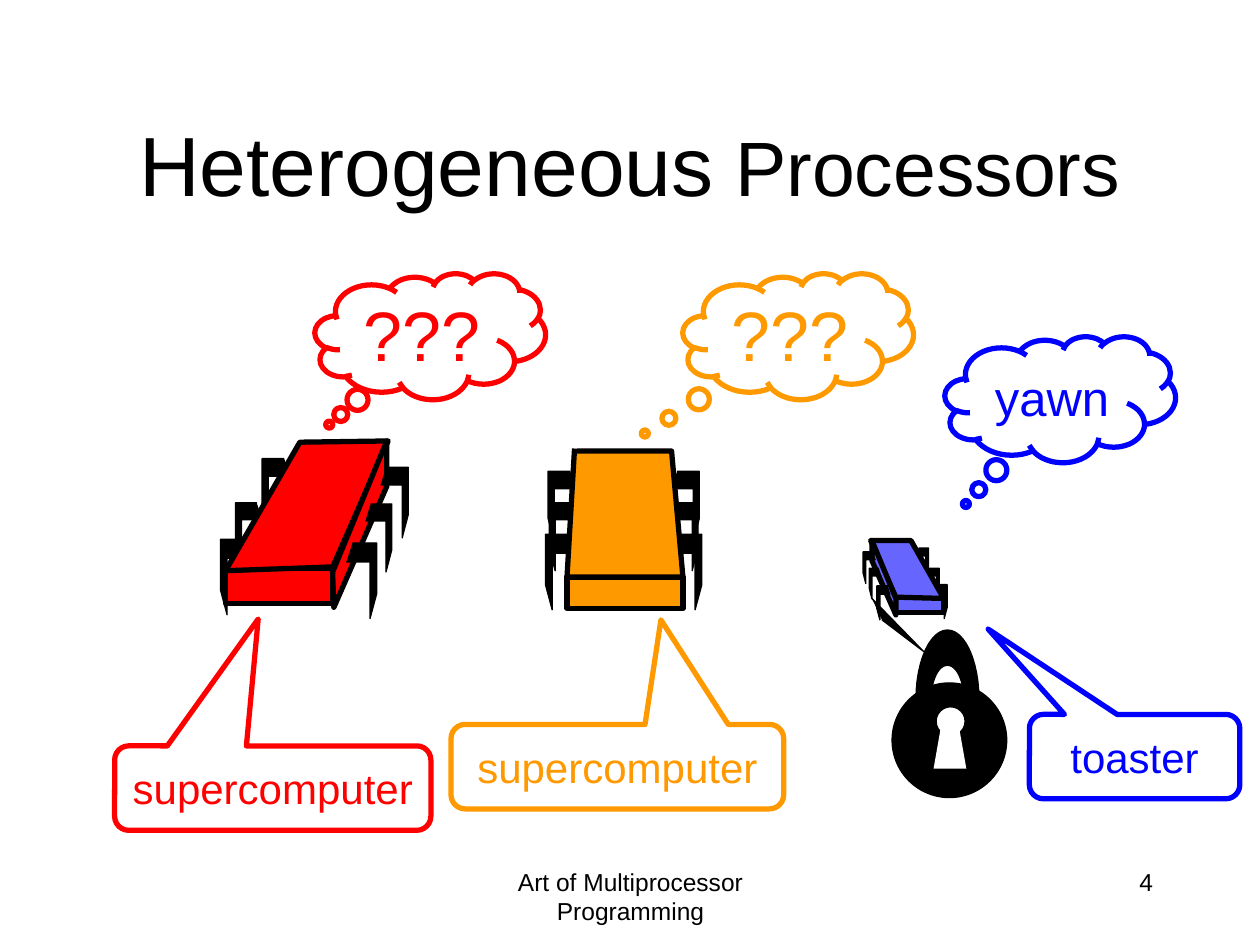
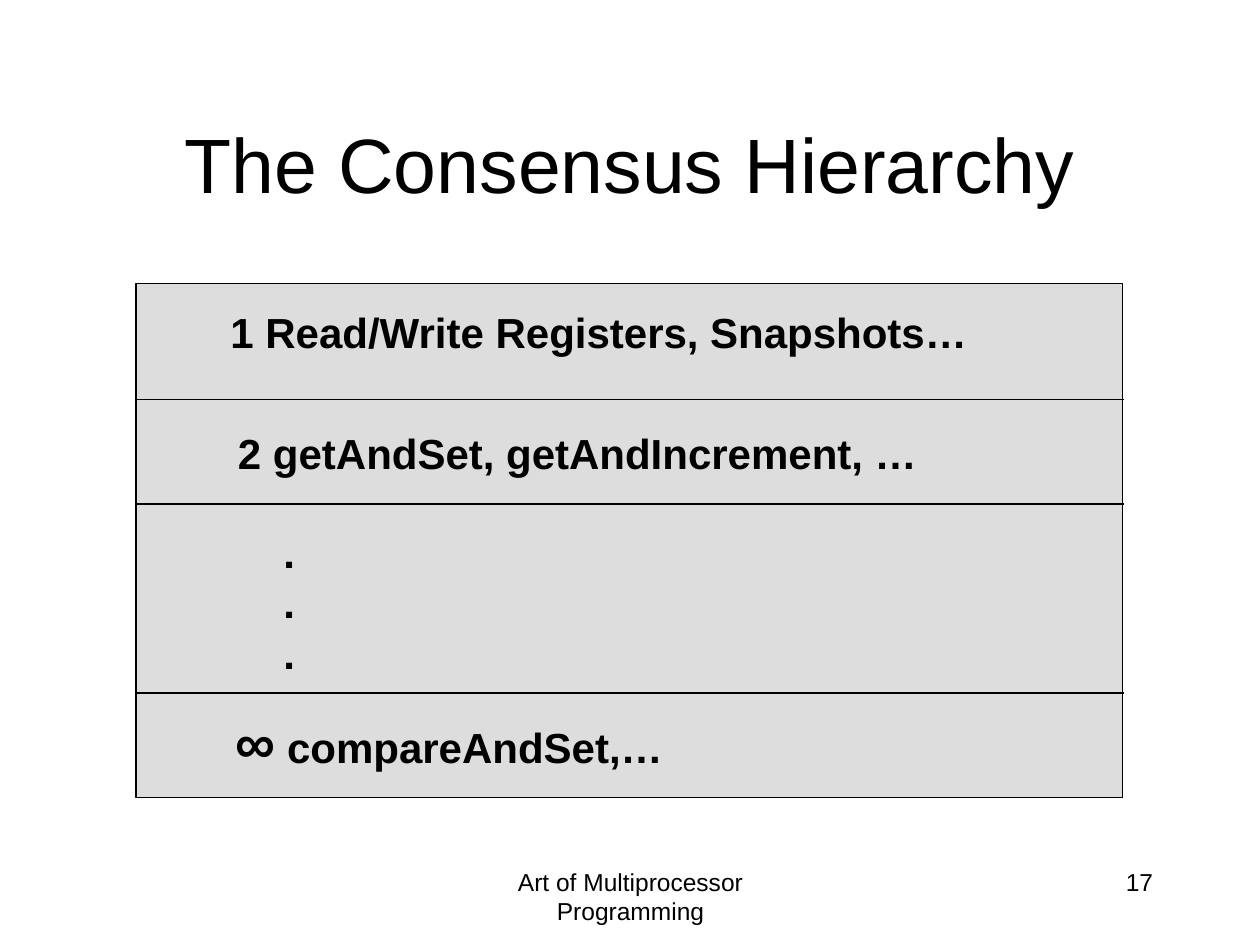
from dataclasses import dataclass
from math import cos, pi, sin

from lxml import etree
from pptx import Presentation
from pptx.dml.color import RGBColor
from pptx.enum.shapes import MSO_CONNECTOR, MSO_SHAPE
from pptx.enum.text import MSO_ANCHOR, MSO_AUTO_SIZE, PP_ALIGN
from pptx.oxml.ns import qn
from pptx.util import Inches, Pt

RECTANGLE, ELLIPSE = MSO_SHAPE.RECTANGLE, MSO_SHAPE.OVAL
THOUGHT, SPEECH = MSO_SHAPE.CLOUD_CALLOUT, MSO_SHAPE.ROUNDED_RECTANGULAR_CALLOUT
STRAIGHT = MSO_CONNECTOR.STRAIGHT
LEFT, CENTER, RIGHT = PP_ALIGN.LEFT, PP_ALIGN.CENTER, PP_ALIGN.RIGHT
TOP, MIDDLE = MSO_ANCHOR.TOP, MSO_ANCHOR.MIDDLE
NO_FIT = MSO_AUTO_SIZE.NONE
TITLE_ONLY = 5


@dataclass(frozen=True)
class Theme:
    font: str = "Arial"
    black: str = "000000"
    white: str = "FFFFFF"
    red: str = "FF0000"
    orange: str = "FF9900"
    blue: str = "0000FF"
    light_blue: str = "6666FF"
    gray: str = "DDDDDD"
    large_title: int = 48
    title: int = 44
    exclamation: int = 40
    symbol: int = 32
    thought: int = 28
    label: int = 24
    footer: int = 14
    thin: float = 0.75
    thick: float = 3


THEME = Theme()
FOOTER = "Art of Multiprocessor Programming"
# Width and height of the near, middle and far leg of a full-size processor
LEG_SIZES = [(0.24, 0.6), (0.21, 0.54), (0.22, 0.56)]
# Outline of a leg as fractions of its width and height
LEG_OUTLINE = [(0.8, 0), (0, 0), (0, 0.67), (0.22, 1), (0.22, 0.25), (1, 0.25)]


def inches(*values):
    return [Inches(value) for value in values]


def write(frame, text, *, size, color=THEME.black, bold=False, align=LEFT,
          anchor=TOP, wrap=True, lead="", lead_size=None):
    """Fill a text frame, one paragraph a line; lead opens it at its own size."""
    frame.word_wrap = wrap
    frame.auto_size = NO_FIT
    frame.vertical_anchor = anchor
    for index, line in enumerate(text.split("\n")):
        para = frame.add_paragraph() if index else frame.paragraphs[0]
        para.alignment = align
        spans = [(line, size)]
        if lead and index == 0:
            spans.insert(0, (lead, lead_size))
        for words, points in spans:
            span = para.add_run()
            span.text = words
            span.font.name = THEME.font
            span.font.size = Pt(points)
            span.font.bold = bold
            span.font.color.rgb = RGBColor.from_string(color)


class Painter:
    def __init__(self, deck, theme):
        self.deck = deck
        self.theme = theme
        self.page = None
        self.shapes = None

    def start_page(self, title, number, **title_format):
        self.page = self.deck.slides.add_slide(self.deck.slide_layouts[TITLE_ONLY])
        self.shapes = self.page.shapes
        self.text(FOOTER, (3.42, 6.83, 3.17, 0.5), size=self.theme.footer, align=CENTER)
        self.text(str(number), (7.17, 6.83, 2.08, 0.5), size=self.theme.footer,
                  align=RIGHT)
        heading = self.shapes.title
        heading.left, heading.top, heading.width, heading.height = inches(
            0.75, 0.67, 8.5, 1.25)
        write(heading.text_frame, title, size=self.theme.title, align=CENTER,
              anchor=MIDDLE, **title_format)

    def start_group(self):
        self.shapes = self.page.shapes.add_group_shape().shapes

    def end_group(self):
        self.shapes = self.page.shapes

    def paint(self, shape, fill, line, width):
        shape.shadow.inherit = False
        if fill:
            shape.fill.solid()
            shape.fill.fore_color.rgb = RGBColor.from_string(fill)
        else:
            shape.fill.background()
        if line:
            shape.line.color.rgb = RGBColor.from_string(line)
            shape.line.width = Pt(width)
        else:
            shape.line.fill.background()
        return shape

    def text(self, text, place, **text_format):
        box = self.shapes.add_textbox(*inches(*place))
        write(box.text_frame, text, **text_format)

    def shape(self, kind, place, fill=None, line=THEME.black, width=THEME.thin):
        return self.paint(self.shapes.add_shape(kind, *inches(*place)),
                          fill, line, width)

    def outline(self, points, fill, line=THEME.black, width=THEME.thin, close=False):
        corners = [inches(*point) for point in points]
        builder = self.shapes.build_freeform(*corners[0], scale=1.0)
        builder.add_line_segments(corners[1:], close=close)
        self.paint(builder.convert_to_shape(), fill, line, width)

    def rule(self, start, end):
        line = self.shapes.add_connector(STRAIGHT, *inches(*start, *end))
        line.line.color.rgb = RGBColor.from_string(self.theme.black)
        line.line.width = Pt(self.theme.thin)
        etree.SubElement(line._element.spPr, qn("a:effectLst"))

    def callout(self, kind, text, place, pointer, color, size):
        bubble = self.shape(kind, place, line=color, width=self.theme.thick)
        for index, value in enumerate(pointer):
            bubble.adjustments[index] = value
        write(bubble.text_frame, text, size=size, color=color, align=CENTER,
              anchor=MIDDLE)

    def legs(self, corners, scale, mirrored):
        for (left, top), (width, height) in zip(corners, LEG_SIZES):
            self.outline([(left + scale * width * (1 - x if mirrored else x),
                           top + scale * height * y) for x, y in LEG_OUTLINE],
                         self.theme.black)

    def processor(self, color, front, faces, left_legs, right_legs,
                  scale=1, legs_over=None):
        """Draw a chip on six legs; legs_over tells which side hides the faces."""
        sides = {"left": (left_legs, scale, False), "right": (right_legs, scale, True)}
        self.start_group()
        self.shape(RECTANGLE, front, color, width=self.theme.thick)
        for side in sides:
            if side != legs_over:
                self.legs(*sides[side])
        for points, close in faces:
            self.outline(points, color, width=self.theme.thick, close=close)
        if legs_over:
            self.legs(*sides[legs_over])
        self.end_group()

    def padlock(self):
        black, white = self.theme.black, self.theme.white
        self.start_group()
        self.shape(ELLIPSE, (7.08, 5.42, 0.91, 0.91), black)
        self.shape(ELLIPSE, (7.43, 5.61, 0.23, 0.23), white)
        self.outline([(7.41, 6.1), (7.47, 5.76), (7.61, 5.76), (7.67, 6.1)],
                     white, line=None, close=True)
        steps = [pi * step / 24 for step in range(25)]
        inner = [(7.52 - 0.13 * cos(a), 5.55 - 0.27 * sin(a)) for a in steps]
        outer = [(7.52 + 0.25 * cos(a), 5.55 - 0.55 * sin(a)) for a in steps]
        self.outline(inner + outer, black, close=True)
        self.end_group()


def draw_processors(painter):
    theme = painter.theme
    painter.start_page(" Processors", 4, lead="Heterogeneous",
                       lead_size=theme.large_title)
    painter.processor(
        theme.red, (1.79, 4.51, 0.85, 0.28),
        faces=[([(1.79, 4.53), (2.64, 4.5), (3.08, 3.5), (2.38, 3.51)], True),
               ([(3.07, 3.5), (3.07, 3.86), (2.65, 4.82), (2.64, 4.54)], True)],
        left_legs=[(1.75, 4.28), (1.87, 3.99), (2.08, 3.64)],
        right_legs=[(2.75, 4.31), (2.9, 4), (3.02, 3.71)], legs_over="right")
    painter.processor(
        theme.light_blue, (7.11, 4.74, 0.38, 0.12),
        faces=[([(7.49, 4.75), (7.11, 4.74), (6.91, 4.29), (7.23, 4.29)], True),
               ([(6.92, 4.29), (6.92, 4.45), (7.11, 4.88), (7.11, 4.75)], True)],
        left_legs=[(6.96, 4.65), (6.9, 4.51), (6.85, 4.38)],
        right_legs=[(7.41, 4.64), (7.36, 4.51), (7.27, 4.35)],
        scale=0.45, legs_over="left")
    painter.padlock()
    painter.outline([(6.92, 4.75), (7.33, 5.17), (7, 4.92)], theme.black)

    thoughts = [
        ("???", 2.5, 2.17, (-0.438, 0.7), theme.red, theme.exclamation),
        ("???", 5.42, 2.17, (-0.665, 0.771), theme.orange, theme.exclamation),
        ("yawn", 7.5, 2.67, (-0.409, 0.83), theme.blue, theme.thought),
    ]
    for text, left, top, pointer, color, size in thoughts:
        painter.callout(THOUGHT, text, (left, top, 1.83, 1), pointer, color, size)

    painter.processor(
        theme.orange, (4.5, 4.58, 0.92, 0.25),
        faces=[([(4.58, 3.58), (5.33, 3.58), (5.42, 4.58), (4.5, 4.58),
                 (4.56, 3.56)], False)],
        left_legs=[(4.33, 4.24), (4.36, 3.99), (4.35, 3.74)],
        right_legs=[(5.33, 4.24), (5.33, 3.99), (5.33, 3.74)])

    names = [
        ("supercomputer", 3.58, 5.75, 2.64, (0.131, -1.739), theme.orange),
        ("supercomputer", 0.91, 5.92, 2.51, (-0.046, -2.003), theme.red),
        ("toaster", 8.17, 5.67, 1.67, (-0.696, -1.51), theme.blue),
    ]
    for text, left, top, width, pointer, color in names:
        painter.callout(SPEECH, text, (left, top, width, 0.67), pointer, color,
                        theme.label)


def draw_hierarchy(painter):
    theme = painter.theme
    painter.start_page("The Consensus Hierarchy", 17)
    painter.shape(RECTANGLE, (1.08, 2.25, 7.83, 4.08), theme.gray)
    for height in (3.17, 4, 5.5):
        painter.rule((1.08, height), (8.92, height))
    levels = [
        ("1 Read/Write Registers, Snapshots…", (1.73, 2.38, 6.05, 0.5), ""),
        ("2 getAndSet, getAndIncrement, …", (1.79, 3.34, 5.59, 0.5), ""),
        (" compareAndSet,…", (1.77, 5.57, 3.59, 0.64), "∞"),
        (".\n.\n.", (2.15, 4.13, 0.29, 1.3), ""),
    ]
    for text, place, lead in levels:
        painter.text(text, place, size=theme.label, bold=True, wrap=False,
                     lead=lead, lead_size=theme.symbol)


def main():
    deck = Presentation()
    deck.slide_width, deck.slide_height = inches(10, 7.5)
    painter = Painter(deck, THEME)
    draw_processors(painter)
    draw_hierarchy(painter)
    deck.save("out.pptx")


if __name__ == "__main__":
    main()
